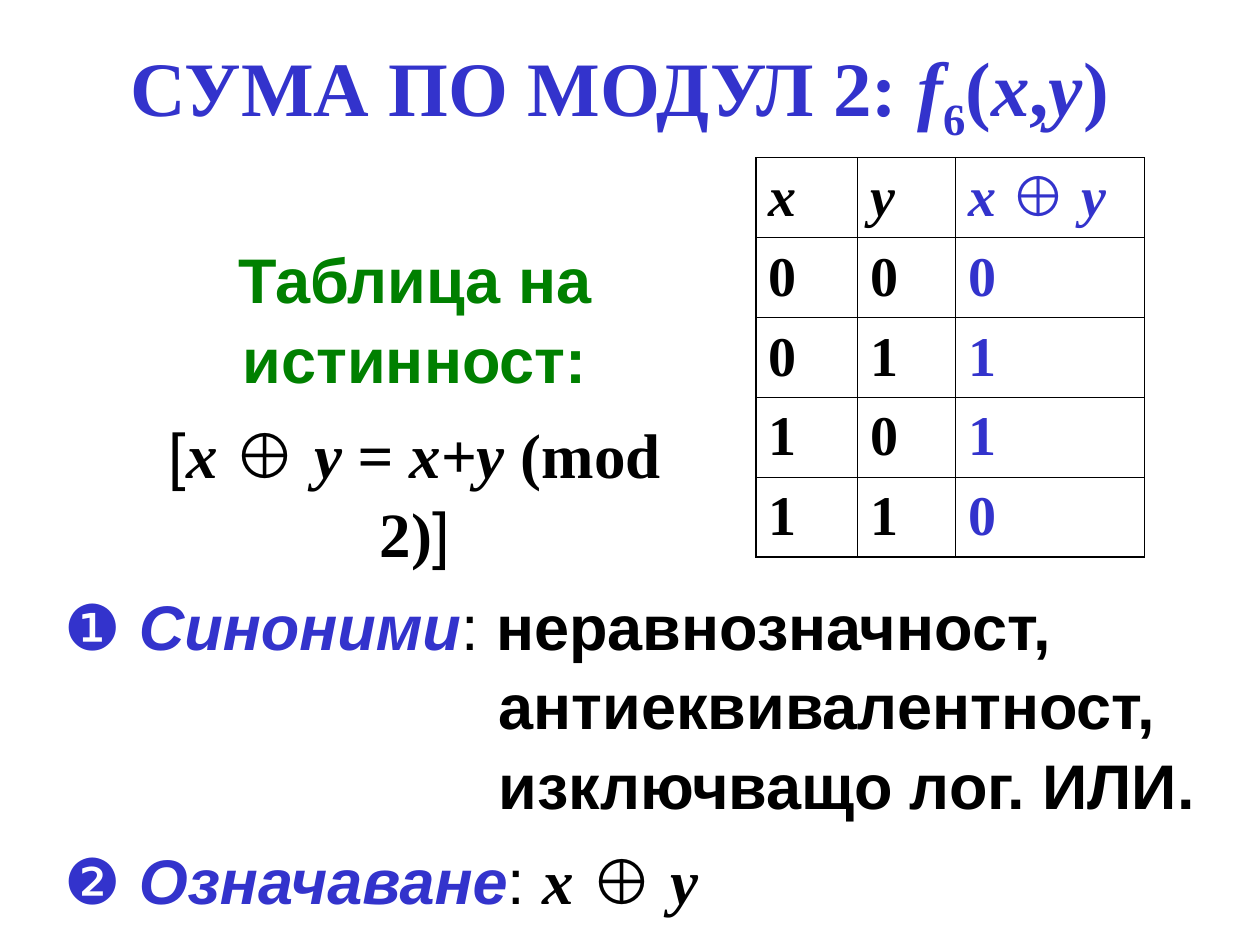
import dataclasses

import lxml.etree
import pptx
import pptx.dml.color
import pptx.enum.text
import pptx.oxml.ns
import pptx.util

EMU_PER_PX = 7620
ALIGN = pptx.enum.text.PP_ALIGN
ANCHOR = pptx.enum.text.MSO_ANCHOR


@dataclasses.dataclass(frozen=True)
class Theme:
    """Colours, fonts and type sizes of the slide."""
    blue: str = "3333CC"
    green: str = "008000"
    black: str = "000000"
    sans: str = "Arial"
    serif: str = "Times New Roman"
    title: int = 44
    body: int = 36
    cell: int = 32
    line_spacing: float = 1.05
    thin: float = 0.45
    thick: float = 1.08


THEME = Theme()
SERIF = {"name": THEME.serif, "bold": True}
VARIABLE = {**SERIF, "italic": True}
SYMBOL = {"name": THEME.sans, "bold": True}
PLAIN = {"name": THEME.sans, "bold": False}
XOR = [("x ", VARIABLE), ("⊕ ", SYMBOL), ("y", VARIABLE)]


def px(length):
    """Turn px into EMU."""
    return pptx.util.Emu(length * EMU_PER_PX)


def style_font(font, color=None, size=None, **settings):
    """Set the given properties on a font."""
    if color:
        font.color.rgb = pptx.dml.color.RGBColor.from_string(color)
    if size:
        font.size = pptx.util.Pt(size)
    for name, value in settings.items():
        setattr(font, name, value)


def fill_paragraph(paragraph, runs, **common):
    """Write styled runs over a common paragraph font."""
    style_font(paragraph.font, **common)
    for text, style in runs:
        run = paragraph.add_run()
        run.text = text
        settings = dict(style)
        baseline = settings.pop("baseline", None)
        style_font(run.font, **settings)
        if baseline:
            run.font._element.set("baseline", str(baseline))


def add_text(slide, box, paragraphs, align=ALIGN.LEFT, anchor=ANCHOR.TOP,
             hanging=0, grow=False):
    """Add a text box from (runs, common font) pairs."""
    frame = slide.shapes.add_textbox(*map(px, box)).text_frame
    frame.word_wrap = True
    frame.vertical_anchor = anchor
    if grow:
        frame.auto_size = pptx.enum.text.MSO_AUTO_SIZE.SHAPE_TO_FIT_TEXT
    for index, (runs, common) in enumerate(paragraphs):
        paragraph = frame.add_paragraph() if index else frame.paragraphs[0]
        paragraph.alignment = align
        paragraph.line_spacing = THEME.line_spacing
        if index:
            paragraph.space_before = pptx.util.Pt(9)
        if hanging:
            properties = paragraph._p.get_or_add_pPr()
            properties.set("marL", str(px(hanging)))
            properties.set("indent", str(-px(hanging)))
        fill_paragraph(paragraph, runs, **common)


def set_borders(cell, widths):
    """Draw black borders given as left, right, top and bottom widths."""
    qn = pptx.oxml.ns.qn
    properties = cell._tc.get_or_add_tcPr()
    for index, (side, width) in enumerate(zip("LRTB", widths)):
        line = lxml.etree.Element(qn(f"a:ln{side}"), w=str(pptx.util.Pt(width)))
        fill = lxml.etree.SubElement(line, qn("a:solidFill"))
        lxml.etree.SubElement(fill, qn("a:srgbClr"), val=THEME.black)
        properties.insert(index, line)


def add_truth_table(slide, box, column_widths, header, rows):
    """Add the truth table with its result column in blue."""
    row_count = len(rows) + 1
    table = slide.shapes.add_table(row_count, len(header), *map(px, box)).table
    table.first_row = table.horz_banding = False
    for column, width in zip(table.columns, column_widths):
        column.width = px(width)
    contents = [header] + [[[(str(value), SERIF)] for value in row] for row in rows]
    for row_index, row in enumerate(contents):
        table.rows[row_index].height = px(box[3] // row_count)
        for column_index, runs in enumerate(row):
            cell = table.cell(row_index, column_index)
            cell.fill.background()
            cell.vertical_anchor = ANCHOR.MIDDLE
            is_result = column_index == len(header) - 1
            fill_paragraph(cell.text_frame.paragraphs[0], runs, size=THEME.cell,
                           color=THEME.blue if is_result else THEME.black)
            left = THEME.thin if column_index else THEME.thick
            bottom = THEME.thick if row_index == row_count - 1 else THEME.thin
            set_borders(cell, (left, THEME.thin, THEME.thin, bottom))


def numbered_term(number, term, explanation):
    """Return the runs of a numbered term and its explanation."""
    blue = {"name": THEME.sans, "color": THEME.blue}
    return [(f"{number} ", blue), (term, {**blue, "bold": True, "italic": True}),
            (": ", PLAIN)] + explanation


def main():
    """Build the slide and save it."""
    presentation = pptx.Presentation()
    presentation.slide_width, presentation.slide_height = px(1200), px(900)
    slide = presentation.slides.add_slide(presentation.slide_layouts[6])
    body = {"size": THEME.body, "color": THEME.black}
    italic = {"italic": True}
    title = [("СУМА ПО МОДУЛ 2: ", {}), ("f", italic), ("6", {"baseline": -25000}),
             ("(", {}), ("x", italic), (",", {}), ("y", italic), (")", {})]
    add_text(slide, (80, 30, 1020, 110),
             [(title, {**SERIF, "size": THEME.title, "color": THEME.blue})],
             align=ALIGN.CENTER, anchor=ANCHOR.MIDDLE)
    synonyms = "неравнозначност, антиеквивалентност, изключващо лог. ИЛИ."
    add_text(slide, (50, 550, 1120, 320),
             [(numbered_term("❶", "Синоними", [(synonyms, SYMBOL)]), body),
              (numbered_term("❷", "Означаване", XOR), body)], hanging=413)
    formula = [("[", PLAIN), *XOR[:2], ("y = x", VARIABLE), ("+", SERIF),
               ("y ", VARIABLE), ("(mod 2)", SERIF), ("]", PLAIN)]
    add_text(slide, (110, 220, 570, 244),
             [([("Таблица на истинност:", {})],
               {**SYMBOL, "size": THEME.body, "color": THEME.green}),
              (formula, body)], align=ALIGN.CENTER, grow=True)
    add_truth_table(slide, (720, 150, 370, 380), (97, 93, 180),
                    [[("x", VARIABLE)], [("y", VARIABLE)], XOR],
                    [(x, y, x ^ y) for x in (0, 1) for y in (0, 1)])
    presentation.save("out.pptx")


if __name__ == "__main__":
    main()
